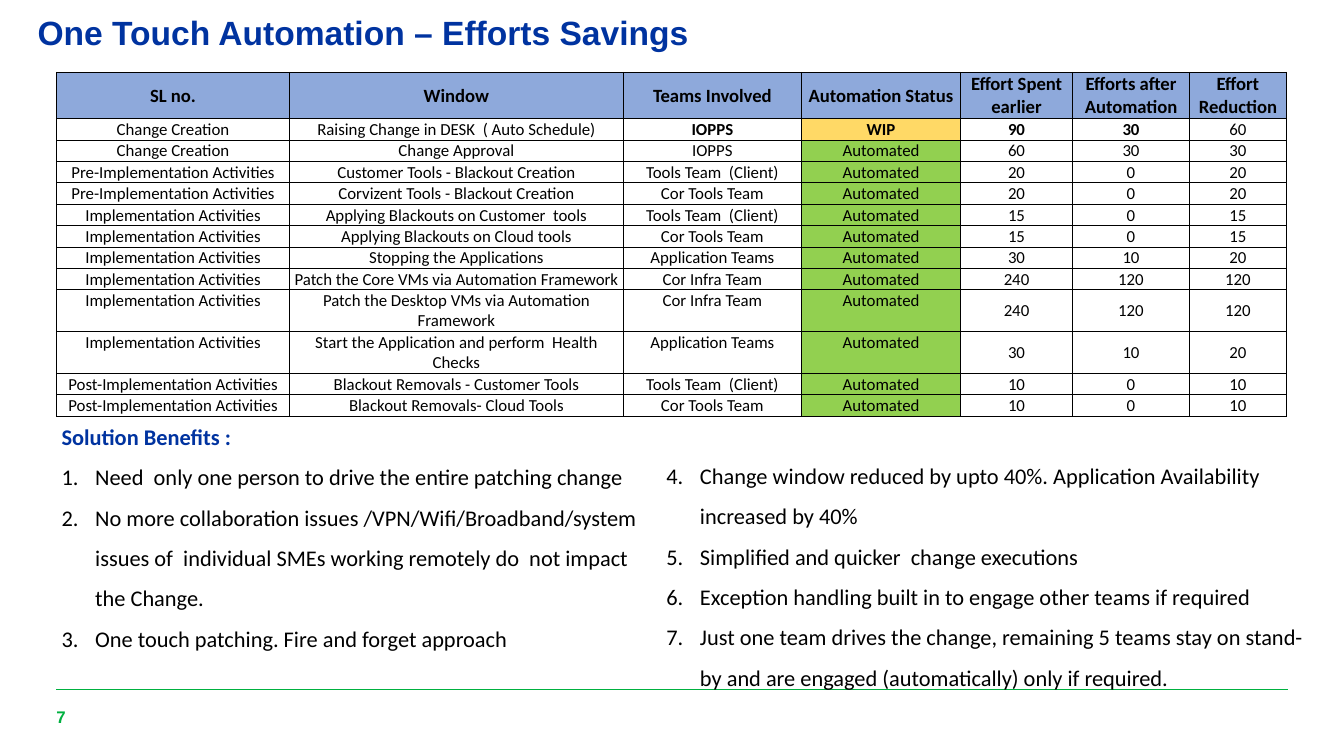
from dataclasses import dataclass
from lxml.etree import SubElement
from pptx import Presentation
from pptx.dml.color import RGBColor as Color
from pptx.enum.shapes import MSO_CONNECTOR as Connector
from pptx.enum.text import MSO_ANCHOR as Anchor, MSO_AUTO_SIZE as AutoSize, PP_ALIGN as Align
from pptx.oxml.ns import qn
from pptx.util import Pt


@dataclass(frozen=True)
class Theme:
    heading: str = "0033A0"
    accent: str = "00B140"
    ink: str = "000000"
    header_fill: str = "8EA9DB"
    title_font: str = "Arial"
    body_font: str = "Calibri"
    title_size: float = 18
    body_size: float = 12
    header_size: float = 10
    small_size: float = 9
    rule_width: float = 0.5


THEME = Theme()
STATUS_FILLS = {"WIP": "FFD966", "Automated": "92D050"}
TITLE = "One Touch Automation – Efforts Savings"
PAGE_NUMBER = "7"
HEADERS = ["SL no.", "Window", "Teams Involved", "Automation Status",
           "Effort Spent earlier", "Efforts after Automation", "Effort Reduction"]
CHANGE, PRE, DURING, POST = "Change Creation", *(
    f"{stage}mplementation Activities" for stage in ("Pre-I", "I", "Post-I"))
CLIENT, TOOLS, INFRA, APPS = ("Tools Team  (Client)", "Cor Tools Team",
                              "Cor Infra Team", "Application Teams")
DONE = "Automated"
ACTIVITIES = [
    (CHANGE, "Raising Change in DESK  ( Auto Schedule)", "IOPPS", "WIP", 90, 30, 60),
    (CHANGE, "Change Approval", "IOPPS", DONE, 60, 30, 30),
    (PRE, "Customer Tools - Blackout Creation", CLIENT, DONE, 20, 0, 20),
    (PRE, "Corvizent Tools - Blackout Creation", TOOLS, DONE, 20, 0, 20),
    (DURING, "Applying Blackouts on Customer  tools", CLIENT, DONE, 15, 0, 15),
    (DURING, "Applying Blackouts on Cloud tools", TOOLS, DONE, 15, 0, 15),
    (DURING, "Stopping the Applications", APPS, DONE, 30, 10, 20),
    (DURING, "Patch the Core VMs via Automation Framework", INFRA, DONE, 240, 120, 120),
    (DURING, "Patch the Desktop VMs via Automation Framework", INFRA, DONE, 240, 120, 120),
    (DURING, "Start the Application and perform  Health Checks", APPS, DONE, 30, 10, 20),
    (POST, "Blackout Removals - Customer Tools", CLIENT, DONE, 10, 0, 10),
    (POST, "Blackout Removals- Cloud Tools", TOOLS, DONE, 10, 0, 10),
]
BENEFITS_HEADING = "Solution Benefits :"
BENEFITS = [
    "Need  only one person to drive the entire patching change",
    "No more collaboration issues /VPN/Wifi/Broadband/system issues of  individual SMEs "
    "working remotely do  not impact the Change.",
    "One touch patching. Fire and forget approach",
    "Change window reduced by upto 40%. Application Availability increased by 40%",
    "Simplified and quicker  change executions",
    "Exception handling built in to engage other teams if required",
    "Just one team drives the change, remaining 5 teams stay on stand-by and are engaged "
    "(automatically) only if required.",
]
FIRST_COLUMN_COUNT = 3
LEFT, RIGHT, TABLE_TOP, RULE_TOP = 30.24, 689.76, 38.7, 369.2
COLUMN_WIDTHS = [124.8, 178.8, 95.6, 85.2, 60, 62.7, 51.9]
HEADER_HEIGHT, ROW_HEIGHT, TALL_ROW_HEIGHT = 24.9, 11.45, 22.3
TALL_ROWS = {9, 10}
STATUS_COLUMN = 3
BOLD_CELLS = {(1, column) for column in range(2, 6)}


def style(paragraph, size, color=THEME.ink, bold=False, name=THEME.body_font):
    font = paragraph.font
    font.size, font.bold, font.name = Pt(size), bold, name
    font.color.rgb = Color.from_string(color)


def add_text_box(slide, left, top, width, height):
    frame = slide.shapes.add_textbox(Pt(left), Pt(top), Pt(width), Pt(height)).text_frame
    frame.word_wrap = True
    frame.auto_size = AutoSize.SHAPE_TO_FIT_TEXT
    return frame


def fill_benefits(frame, items, start, heading=None):
    lines = [(heading, False)] if heading else []
    lines += [(item, True) for item in items]
    for index, (text, numbered) in enumerate(lines):
        paragraph = frame.add_paragraph() if index else frame.paragraphs[0]
        paragraph.text = text
        paragraph.line_spacing = 1.5
        if numbered:
            properties = paragraph._p.get_or_add_pPr()
            properties.set("marL", str(Pt(18)))
            properties.set("indent", str(-Pt(18)))
            number = SubElement(properties, qn("a:buAutoNum"), type="arabicPeriod")
            if start > 1:
                number.set("startAt", str(start))
        style(paragraph, THEME.body_size, THEME.ink if numbered else THEME.heading, not numbered)


def add_borders(cell):
    properties = cell._tc.get_or_add_tcPr()
    for side in ("lnL", "lnR", "lnT", "lnB"):
        line = SubElement(properties, qn(f"a:{side}"), w=str(Pt(THEME.rule_width)))
        SubElement(SubElement(line, qn("a:solidFill")), qn("a:srgbClr"), val=THEME.ink)


def fill_cell(cell, row, column, value):
    header = row == 0
    cell.margin_left = cell.margin_right = cell.margin_top = Pt(0.5)
    cell.margin_bottom = 0
    cell.vertical_anchor = Anchor.MIDDLE if header or column > STATUS_COLUMN else Anchor.TOP
    add_borders(cell)
    fill = THEME.header_fill if header else (
        STATUS_FILLS[value] if column == STATUS_COLUMN else None)
    if fill:
        cell.fill.solid()
        cell.fill.fore_color.rgb = Color.from_string(fill)
    else:
        cell.fill.background()
    paragraph = cell.text_frame.paragraphs[0]
    paragraph.text = str(value)
    paragraph.alignment = Align.CENTER
    style(paragraph, THEME.header_size if header else THEME.small_size,
          bold=header or (row, column) in BOLD_CELLS)


def add_effort_table(slide):
    rows = [HEADERS, *ACTIVITIES]
    heights = [HEADER_HEIGHT] + [TALL_ROW_HEIGHT if row in TALL_ROWS else ROW_HEIGHT
                                 for row in range(1, len(rows))]
    table = slide.shapes.add_table(len(rows), len(HEADERS), Pt(LEFT), Pt(TABLE_TOP),
                                   Pt(sum(COLUMN_WIDTHS)), Pt(sum(heights))).table
    table.first_row = table.horz_banding = False
    for column, width in zip(table.columns, COLUMN_WIDTHS):
        column.width = Pt(width)
    for row, (values, height) in enumerate(zip(rows, heights)):
        table.rows[row].height = Pt(height)
        for column, value in enumerate(values):
            fill_cell(table.cell(row, column), row, column, value)


def add_footer(slide):
    rule = slide.shapes.add_connector(Connector.STRAIGHT, Pt(LEFT), Pt(RULE_TOP),
                                      Pt(RIGHT), Pt(RULE_TOP))
    rule.line.color.rgb = Color.from_string(THEME.accent)
    rule.line.width = Pt(THEME.rule_width)
    SubElement(rule._element.spPr, qn("a:effectLst"))
    frame = add_text_box(slide, LEFT, 378, 18, 12.2)
    frame.auto_size = AutoSize.NONE
    frame.margin_left = frame.margin_right = frame.margin_top = frame.margin_bottom = 0
    frame.vertical_anchor = Anchor.MIDDLE
    frame.text = PAGE_NUMBER
    style(frame.paragraphs[0], THEME.small_size, THEME.accent, True, THEME.title_font)


def main():
    """Build the effort savings slide and save it."""
    presentation = Presentation()
    presentation.slide_width, presentation.slide_height = Pt(720), Pt(405)
    slide = presentation.slides.add_slide(presentation.slide_layouts[6])
    add_footer(slide)
    add_effort_table(slide)
    title = add_text_box(slide, 13, 2.9, 666, 29)
    title.text = TITLE
    style(title.paragraphs[0], THEME.title_size, THEME.heading, True, THEME.title_font)
    fill_benefits(add_text_box(slide, 25.9, 216, 323.3, 136),
                  BENEFITS[:FIRST_COLUMN_COUNT], 1, BENEFITS_HEADING)
    fill_benefits(add_text_box(slide, 349.9, 236.9, 358.6, 160),
                  BENEFITS[FIRST_COLUMN_COUNT:], FIRST_COLUMN_COUNT + 1)
    presentation.save("out.pptx")


if __name__ == "__main__":
    main()
